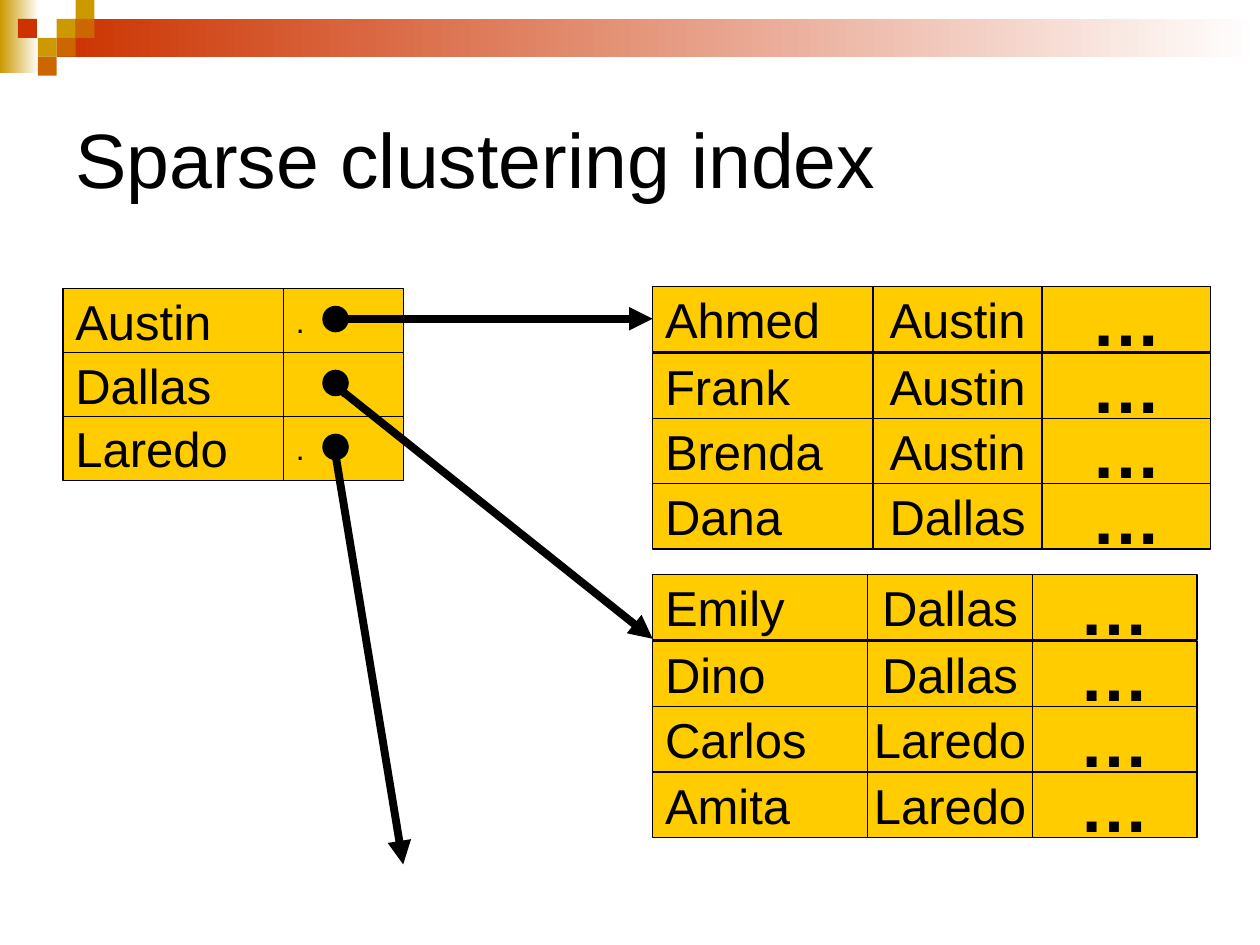
from collections import namedtuple

from lxml import etree
from pptx import Presentation
from pptx.dml.color import RGBColor
from pptx.enum.shapes import MSO_CONNECTOR, MSO_SHAPE
from pptx.enum.text import MSO_ANCHOR, PP_ALIGN
from pptx.oxml.ns import qn
from pptx.util import Inches, Pt

RECTANGLE, OVAL = MSO_SHAPE.RECTANGLE, MSO_SHAPE.OVAL
STRAIGHT = MSO_CONNECTOR.STRAIGHT
LEFT, CENTER = PP_ALIGN.LEFT, PP_ALIGN.CENTER
MIDDLE = MSO_ANCHOR.MIDDLE

PAGE_WIDTH, PAGE_HEIGHT = Inches(10), Inches(7.5)
FONT = "Arial"
COLORS = {
    "ink": "000000",
    "paper": "FFFFFF",
    "cell": "FFCC00",
    "gold": "CC9900",
    "orange": "CC6600",
    "red": "CC3300",
}

# Boxes are in percent of the slide's width and height.
Box = namedtuple("Box", "left top width height")

INDEX_COLUMNS = (17.5, 9.5)
INDEX_ROWS = (("Austin", LEFT), ("Dallas", CENTER), ("Laredo", LEFT))
RECORD_COLUMNS = (39.5, 30.25, 30.25)
FIRST_BLOCK = (("Ahmed", "Austin"), ("Frank", "Austin"),
               ("Brenda", "Austin"), ("Dana", "Dallas"))
SECOND_BLOCK = (("Emily", "Dallas"), ("Dino", "Dallas"),
                ("Carlos", "Laredo"), ("Amita", "Laredo"))
POINTER_TARGETS = ((51.8, 33.73), (51.8, 67.6), (32, 91.47))


def color(name):
    return RGBColor.from_string(COLORS[name])


def across(percent):
    return round(PAGE_WIDTH * percent / 100)


def down(percent):
    return round(PAGE_HEIGHT * percent / 100)


def emu(box):
    return across(box.left), down(box.top), across(box.width), down(box.height)


def add_shape(page, box, fill, kind=RECTANGLE, outlined=False, fade=False):
    shape = page.shapes.add_shape(kind, *emu(box))
    shape.shadow.inherit = False
    if fade:
        shape.fill.gradient()
        shape.fill.gradient_angle = 0
        for stop, name in zip(shape.fill.gradient_stops, (fill, "paper")):
            stop.color.rgb = color(name)
    else:
        shape.fill.solid()
        shape.fill.fore_color.rgb = color(fill)
    if outlined:
        shape.line.color.rgb = color("ink")
        shape.line.width = Pt(0.75)
    else:
        shape.line.fill.background()
    return shape


def write(shape, text, size=28, bold=False, align=LEFT, wrap=False):
    frame = shape.text_frame
    frame.word_wrap = wrap
    frame.vertical_anchor = MIDDLE
    para = frame.paragraphs[0]
    para.alignment = align
    span = para.add_run()
    span.text = text
    span.font.name = FONT
    span.font.size = Pt(size)
    span.font.bold = bold
    span.font.color.rgb = color("ink")


def split_columns(box, weights):
    left = box.left
    for weight in weights:
        width = box.width * weight / sum(weights)
        yield Box(left, box.top, width, box.height)
        left += width


def draw_header(page, box):
    """Fading bars and a mosaic on a grid of four rows of squares."""
    row = box.height / 4
    column = row * PAGE_HEIGHT / PAGE_WIDTH
    add_shape(page, Box(box.left, box.top, 3.1, 7.73), "gold", fade=True)
    add_shape(page, Box(box.left + 3 * column, box.top + row,
                        box.width - 3 * column, 2 * row), "red", fade=True)
    squares = ((3, 1, "gold"), (4, 0, "gold"), (4, 1, "orange"),
               (2, 2, "gold"), (0.95, 1, "red"), (3, 2, "orange"),
               (2, 3, "orange"))
    for x, y, fill in squares:
        add_shape(page, Box(box.left + x * column, box.top + y * row,
                            column, row), fill)


def draw_title(page, box, text):
    write(page.shapes.add_textbox(*emu(box)), text, size=44, wrap=True)


def draw_records(page, box, records, gap=0.13):
    """Rows of records, with a thin gap below the first row."""
    height = (box.height - gap) / len(records)
    for number, (name, city) in enumerate(records):
        top = box.top + number * height + (gap if number else 0)
        row = Box(box.left, top, box.width, height)
        formats = (
            (name, {}),
            (city, {"align": CENTER}),
            ("…", {"align": CENTER, "size": 40, "bold": True}),
        )
        for cell, (text, look) in zip(split_columns(row, RECORD_COLUMNS), formats):
            write(add_shape(page, cell, "cell", outlined=True), text, **look)


def draw_index(page, box):
    """Keys, each with a pointer cell that holds a round dot."""
    height = box.height / len(INDEX_ROWS)
    for number, (key, align) in enumerate(INDEX_ROWS):
        row = Box(box.left, box.top + number * height, box.width, height)
        key_cell, pointer = split_columns(row, INDEX_COLUMNS)
        write(add_shape(page, key_cell, "cell", outlined=True), key)
        write(add_shape(page, pointer, "cell", outlined=True), ".",
              size=18, align=align)
        dot = Box(pointer.left + 0.33 * pointer.width,
                  pointer.top + 0.28 * height, 2, 2.67)
        add_shape(page, dot, "ink", kind=OVAL, outlined=True)


def draw_arrow(page, start, end):
    arrow = page.shapes.add_connector(
        STRAIGHT, across(start[0]), down(start[1]), across(end[0]), down(end[1]))
    arrow.line.color.rgb = color("ink")
    arrow.line.width = Pt(4.5)
    etree.SubElement(arrow.line._get_or_add_ln(), qn("a:tailEnd"), type="triangle")
    etree.SubElement(arrow._element.spPr, qn("a:effectLst"))


def draw_pointers(page, left, top, step):
    for number, target in enumerate(POINTER_TARGETS):
        draw_arrow(page, (left, top + number * step), target)


def main():
    deck = Presentation()
    deck.slide_width, deck.slide_height = PAGE_WIDTH, PAGE_HEIGHT
    page = deck.slides.add_slide(deck.slide_layouts[6])
    draw_header(page, Box(0, 0, 100, 8))
    draw_title(page, Box(5, 6.67, 90, 20), "Sparse clustering index")
    draw_records(page, Box(51.8, 30.3, 44.3, 27.8), FIRST_BLOCK)
    draw_records(page, Box(51.8, 60.8, 43.2, 27.8), SECOND_BLOCK)
    draw_index(page, Box(5, 30.53, 27, 20.3))
    draw_pointers(page, left=26.6, top=33.73, step=7.07)
    deck.save("out.pptx")


if __name__ == "__main__":
    main()
